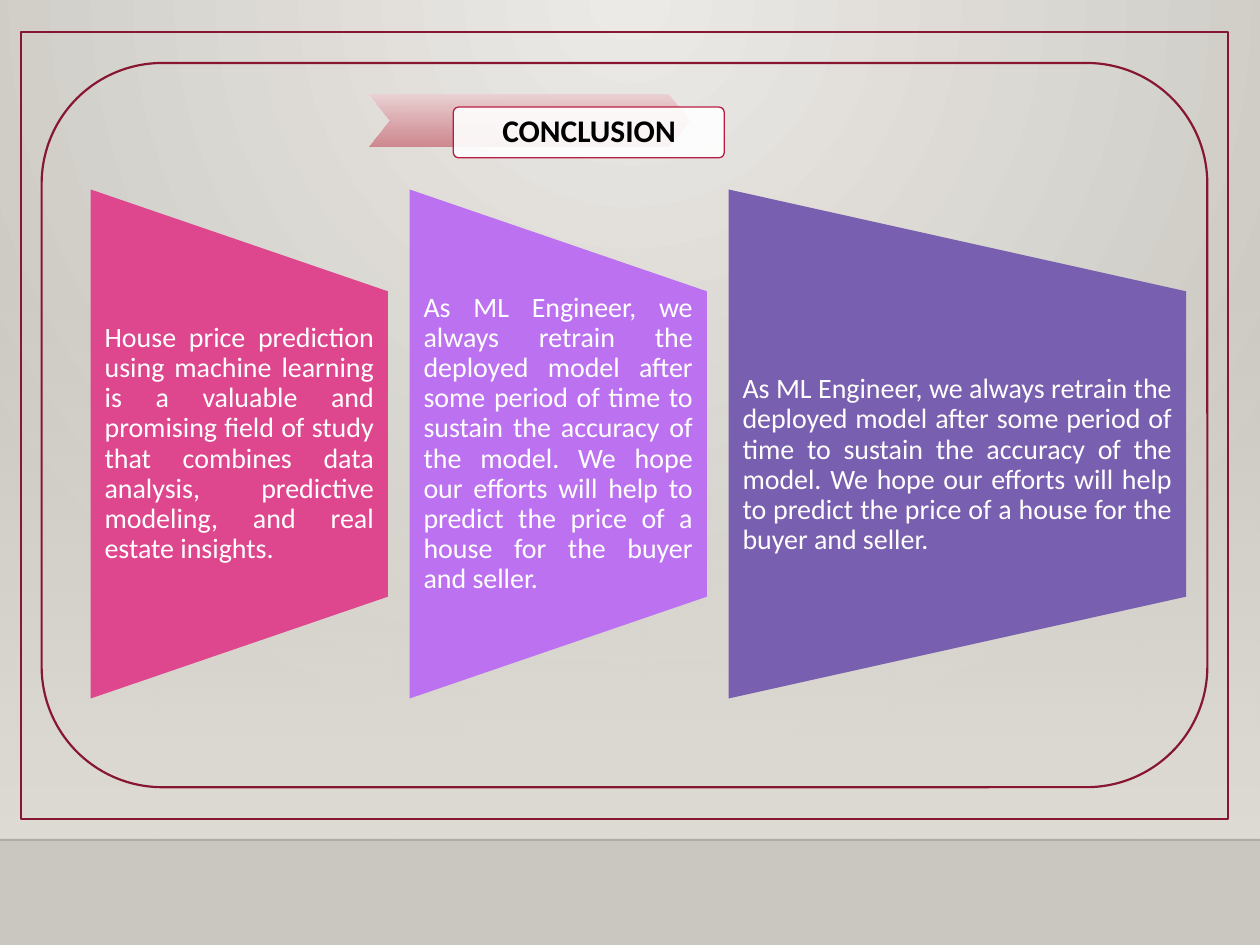
from lxml import etree
from pptx import Presentation
from pptx.dml.color import RGBColor
from pptx.enum.shapes import MSO_CONNECTOR, MSO_SHAPE
from pptx.enum.text import MSO_ANCHOR, MSO_AUTO_SIZE, PP_ALIGN
from pptx.oxml.ns import qn
from pptx.util import Cm, Pt

FONT = "Calibri"
BLACK = RGBColor(0x00, 0x00, 0x00)
RULE = RGBColor(0x00, 0x00, 0x01)
WHITE = RGBColor(0xFF, 0xFF, 0xFF)
FRAME = RGBColor(0x87, 0x16, 0x31)
CRIMSON = RGBColor(0xB7, 0x1E, 0x42)
PINK = RGBColor(0xDE, 0x47, 0x8E)
VIOLET = RGBColor(0xBC, 0x72, 0xF0)
PURPLE = RGBColor(0x79, 0x5F, 0xAF)
PAPER_LIGHT = RGBColor(0xEC, 0xEA, 0xE7)
PAPER_DARK = RGBColor(0xCA, 0xC7, 0xC1)
WALL = RGBColor(0xDF, 0xDB, 0xD5)
RIBBON_LIGHT = RGBColor(0xEA, 0xD1, 0xD3)
RIBBON_DARK = RGBColor(0xCD, 0x82, 0x8A)

SLIDE_WIDTH, SLIDE_HEIGHT = 25.4, 19.05
FLOOR_TOP = 16.93
TITLE = "CONCLUSION"
RETRAINING = (
    "As ML Engineer, we always retrain the deployed model after some period of time "
    "to sustain the accuracy of the model. We hope our efforts will help to predict "
    "the price of a house for the buyer and seller."
)
# text, colour, width, top inset (cm)
PANELS = [
    ("House price prediction using machine learning is a valuable and promising field "
     "of study that combines data analysis, predictive modeling, and real estate insights.",
     PINK, 5.99, 0),
    (RETRAINING, VIOLET, 5.99, 0),
    (RETRAINING, PURPLE, 9.22, 0.86),
]
PANEL_LEFT, PANEL_GAP = 1.83, 0.44
PANEL_MIDDLE, PANEL_HEIGHT, TEXT_HEIGHT = 8.95, 10.26, 6.15


def set_alpha(color_element, percent):
    etree.SubElement(color_element, qn("a:alpha")).set("val", str(percent * 1000))


def set_gradient(fill, owner, stops, center=None):
    """Fill downwards, or in circles around the given fillToRect percentages."""
    fill.gradient()
    gradient = owner.find(".//" + qn("a:gradFill"))
    for child in list(gradient):
        gradient.remove(child)
    stop_list = etree.SubElement(gradient, qn("a:gsLst"))
    for position, (color, alpha) in zip((0, 100000), stops):
        stop = etree.SubElement(stop_list, qn("a:gs"), pos=str(position))
        color_element = etree.SubElement(stop, qn("a:srgbClr"), val=str(color))
        if alpha < 100:
            set_alpha(color_element, alpha)
    if center:
        circle = etree.SubElement(gradient, qn("a:path"))
        circle.set("path", "circle")
        target = etree.SubElement(circle, qn("a:fillToRect"))
        for side, percent in zip("ltrb", center):
            target.set(side, str(percent * 1000))
    else:
        etree.SubElement(gradient, qn("a:lin"), ang="5400000", scaled="0")


def add_plain_shape(shapes, kind, box, fill=None, line=None, line_width=1.25):
    shape = shapes.add_shape(kind, *map(Cm, box))
    shape.shadow.inherit = False
    if fill is None:
        shape.fill.background()
    else:
        shape.fill.solid()
        shape.fill.fore_color.rgb = fill
    if line is None:
        shape.line.fill.background()
    else:
        shape.line.color.rgb = line
        shape.line.width = Pt(line_width)
    return shape


def write_text(shape, text, size, color, alignment, insets, bold=False):
    frame = shape.text_frame
    frame.word_wrap = True
    frame.auto_size = MSO_AUTO_SIZE.NONE
    frame.vertical_anchor = MSO_ANCHOR.MIDDLE
    (frame.margin_left, frame.margin_top,
     frame.margin_right, frame.margin_bottom) = map(Cm, insets)
    paragraph = frame.paragraphs[0]
    paragraph.alignment = alignment
    paragraph.line_spacing = 0.9
    paragraph.space_before = Pt(0)
    paragraph.space_after = Pt(size * 0.35)
    run = paragraph.add_run()
    run.text = text
    run.font.name = FONT
    run.font.size = Pt(size)
    run.font.bold = bold
    run.font.color.rgb = color


def add_backdrop(slide):
    set_gradient(slide.background.fill, slide.element,
                 [(PAPER_LIGHT, 100), (PAPER_DARK, 100)], center=(43, 0, 43, 100))
    wall = add_plain_shape(slide.shapes, MSO_SHAPE.RECTANGLE,
                           (0, 5.59, SLIDE_WIDTH, FLOOR_TOP - 5.59))
    set_gradient(wall.fill, wall.element, [(WALL, 0), (WALL, 100)])
    floor_line = slide.shapes.add_connector(
        MSO_CONNECTOR.STRAIGHT, 0, Cm(FLOOR_TOP), Cm(SLIDE_WIDTH), Cm(FLOOR_TOP))
    floor_line.line.color.rgb = RULE
    floor_line.line.width = Pt(1)
    set_alpha(floor_line.element.find(".//" + qn("a:srgbClr")), 20)
    etree.SubElement(floor_line.element.spPr, qn("a:effectLst"))
    add_plain_shape(slide.shapes, MSO_SHAPE.ROUNDED_RECTANGLE,
                    (0.84, 1.27, 23.5, 14.6), line=FRAME)
    add_plain_shape(slide.shapes, MSO_SHAPE.RECTANGLE,
                    (0.43, 0.64, 24.33, 15.88), line=FRAME)


def add_heading(slide):
    ribbon = add_plain_shape(slide.shapes, MSO_SHAPE.CHEVRON, (7.42, 1.9, 6.48, 1.05))
    ribbon.adjustments[0] = 0.4
    set_gradient(ribbon.fill, ribbon.element, [(RIBBON_LIGHT, 100), (RIBBON_DARK, 92)])
    plate = add_plain_shape(slide.shapes, MSO_SHAPE.ROUNDED_RECTANGLE,
                            (9.14, 2.16, 5.46, 1.02), WHITE, CRIMSON, 0.75)
    plate.adjustments[0] = 0.1
    set_alpha(plate.element.find(".//" + qn("a:srgbClr")), 90)
    title = slide.shapes.title
    title.left, title.top, title.width, title.height = map(Cm, (9.17, 2.18, 5.41, 0.97))
    write_text(title, TITLE, 18, BLACK, PP_ALIGN.CENTER, (0.36,) * 4, bold=True)
    plate.element.addnext(title.element)


def add_panels(shapes):
    left = PANEL_LEFT
    for text, color, width, top_inset in PANELS:
        # The shape is turned a quarter, so its own width is the visible height.
        box = (left + (width - PANEL_HEIGHT) / 2, PANEL_MIDDLE - width / 2,
               PANEL_HEIGHT, width)
        panel = add_plain_shape(shapes, MSO_SHAPE.FLOWCHART_MANUAL_OPERATION, box, color)
        panel.rotation = 270
        text_box = shapes.add_textbox(
            Cm(left), Cm(PANEL_MIDDLE - TEXT_HEIGHT / 2), Cm(width), Cm(TEXT_HEIGHT))
        write_text(text_box, text, 16, WHITE, PP_ALIGN.JUSTIFY, (0.28, top_inset, 0.28, 0))
        left += width + PANEL_GAP


def main():
    presentation = Presentation()
    presentation.slide_width, presentation.slide_height = Cm(SLIDE_WIDTH), Cm(SLIDE_HEIGHT)
    slide = presentation.slides.add_slide(presentation.slide_layouts[5])
    add_backdrop(slide)
    add_heading(slide)
    add_panels(slide.shapes)
    presentation.save("out.pptx")


if __name__ == "__main__":
    main()
